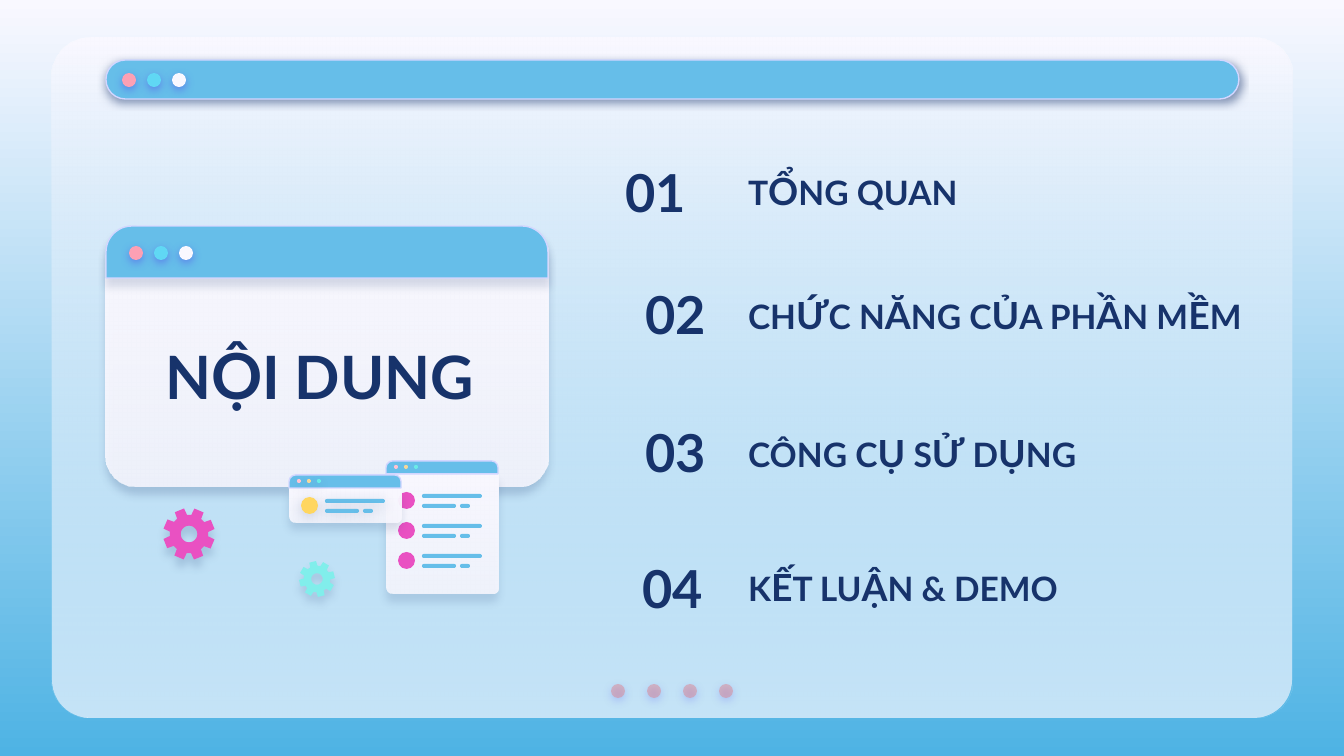
from math import cos, radians, sin

from lxml.etree import SubElement
from pptx import Presentation
from pptx.dml.color import RGBColor
from pptx.enum.shapes import MSO_SHAPE as Preset
from pptx.enum.text import MSO_ANCHOR as Anchor, PP_ALIGN as Align
from pptx.oxml.ns import qn
from pptx.util import Emu, Pt

EMU_PER_PX = 9144000 / 1344
FONT = "Lato"

NAVY = RGBColor(0x17, 0x33, 0x6B)
INDIGO = RGBColor(0x53, 0x52, 0xEE)
SKY = RGBColor(0x66, 0xBE, 0xE9)
DEEP_SKY = RGBColor(0x4E, 0xB3, 0xE4)
LILAC = RGBColor(0xD2, 0xD6, 0xFF)
SNOW = RGBColor(0xF9, 0xF8, 0xFF)
CORAL = RGBColor(0xE2, 0x7B, 0x83)
PINK = RGBColor(0xFD, 0xA0, 0xB4)
CYAN = RGBColor(0x60, 0xD8, 0xF4)
BLUSH = RGBColor(0xFF, 0xC3, 0xD0)
SAND = RGBColor(0xF5, 0xD7, 0x9B)
AQUA = RGBColor(0x6A, 0xEB, 0xE7)
MAGENTA = RGBColor(0xE9, 0x51, 0xC2)
YELLOW = RGBColor(0xFF, 0xD6, 0x5F)
MINT = RGBColor(0x81, 0xEE, 0xEB)

BUTTON_GLOW = (INDIGO, 50, 4.5, 1.5)
CARD_GLOW = (NAVY, 15, 4.5, 4.5)


def px(length):
    return Emu(round(length * EMU_PER_PX))


class SlideKit:
    def __init__(self, slide):
        self.slide = slide
        self.shapes = slide.shapes

    def gradient(self, fill, top, bottom):
        fill.gradient()
        fill.gradient_angle = 270
        for stop, color in zip(fill.gradient_stops, (top, bottom)):
            stop.color.rgb = color

    def style(self, shape, fill, opacity=100, line=None, shadow=None):
        properties = shape._element.spPr
        if isinstance(fill, RGBColor):
            shape.fill.solid()
            shape.fill.fore_color.rgb = fill
        else:
            self.gradient(shape.fill, *fill)
        if opacity < 100:
            last_color = list(properties.iter(qn("a:srgbClr")))[-1]
            SubElement(last_color, qn("a:alpha"), val=str(opacity * 1000))
        if line is None:
            shape.line.fill.background()
        else:
            shape.line.color.rgb = line
            shape.line.width = Pt(0.75)
        shape.shadow.inherit = False
        if shadow:
            color, strength, blur, distance = shadow
            outer = SubElement(
                properties.find(qn("a:effectLst")), qn("a:outerShdw"),
                blurRad=str(Pt(blur)), dist=str(Pt(distance)),
                dir="5400000", algn="bl", rotWithShape="0")
            tint = SubElement(outer, qn("a:srgbClr"), val=str(color))
            SubElement(tint, qn("a:alpha"), val=str(strength * 1000))

    def box(self, preset, left, top, width, height, fill, corners=(), **look):
        shape = self.shapes.add_shape(preset, px(left), px(top), px(width), px(height))
        for index, corner in enumerate(corners):
            shape.adjustments[index] = corner
        self.style(shape, fill, **look)

    def dots(self, left, top, size, step, colors, **look):
        for index, color in enumerate(colors):
            self.box(Preset.OVAL, left + index * step, top, size, size, color, **look)

    def text(self, left, top, width, height, pieces, size, align=Align.LEFT):
        frame = self.shapes.add_textbox(px(left), px(top), px(width), px(height)).text_frame
        frame.word_wrap = True
        frame.vertical_anchor = Anchor.MIDDLE
        frame.margin_left = frame.margin_right = px(13)
        frame.margin_top = frame.margin_bottom = px(13)
        paragraph = frame.paragraphs[0]
        paragraph.alignment = align
        for index, piece in enumerate(pieces.split("|")):
            run = paragraph.add_run()
            run.text = piece
            run.font.name = FONT
            run.font.size = Pt(size + 2 * (index % 2))
            run.font.bold = True
            run.font.color.rgb = NAVY

    def card(self, left, top, body_height, first_row, rows, bullet, dot_glow=None, row_glow=None):
        self.box(Preset.ROUND_2_SAME_RECTANGLE, left, top + 13, 112, body_height,
                 (SNOW, SNOW), (0, 7 / min(112, body_height)), opacity=87, shadow=CARD_GLOW)
        self.box(Preset.ROUND_2_SAME_RECTANGLE, left, top, 112, 13, SKY, (0.5, 0), line=LILAC)
        self.dots(left + 8, top + 4, 4, 10, (BLUSH, SAND, AQUA), shadow=dot_glow)
        for row in range(rows):
            row_top = top + first_row + 30 * row
            self.dots(left + 12, row_top, 17, 0, [bullet], shadow=row_glow)
            for indent, drop, width in ((36, 2, 60), (36, 12, 34), (74, 12, 10)):
                self.box(Preset.ROUNDED_RECTANGLE, left + indent, row_top + drop, width, 4,
                         SKY, (0.5,), shadow=row_glow)

    def gear(self, center_x, center_y, radius, tilt, color, shadow):
        def ring(polar):
            return [(px(center_x + radius * reach * sin(radians(angle))),
                     px(center_y - radius * reach * cos(radians(angle))))
                    for reach, angle in polar]

        tooth = ((0.74, -16), (1, -11), (1, 11), (0.74, 16))
        rim = ring((reach, tilt + 45 * turn + angle)
                   for turn in range(8) for reach, angle in tooth)
        hole = ring((0.32, -angle) for angle in range(0, 360, 15))
        outline = self.shapes.build_freeform(*rim[0])
        outline.add_line_segments(rim[1:], close=True)
        outline.move_to(*hole[0])
        outline.add_line_segments(hole[1:], close=True)
        self.style(outline.convert_to_shape(), color, shadow=shadow)


def main():
    deck = Presentation()
    deck.slide_width, deck.slide_height = px(1344), px(756)
    kit = SlideKit(deck.slides.add_slide(deck.slide_layouts[6]))
    kit.gradient(kit.slide.background.fill, SNOW, DEEP_SKY)

    for fill, opacity in ((SNOW, 100), ((SNOW, SKY), 35)):
        kit.box(Preset.ROUNDED_RECTANGLE, 52, 38, 1240, 680, fill, (0.056,), opacity=opacity)
    kit.dots(611, 684, 14, 36, [CORAL] * 4, opacity=44, shadow=BUTTON_GLOW)

    buttons = (PINK, CYAN, SNOW)
    kit.box(Preset.ROUNDED_RECTANGLE, 106, 60, 1133, 39, SKY, (0.5,),
            line=LILAC, shadow=(NAVY, 50, 4.5, 1.5))
    kit.dots(122, 73, 14, 25, buttons, shadow=BUTTON_GLOW)

    kit.box(Preset.ROUNDED_RECTANGLE, 106, 226, 442, 261, (SNOW, SNOW), (0.12,),
            opacity=87, shadow=(NAVY, 22, 4.5, 3.8))
    kit.box(Preset.ROUND_2_SAME_RECTANGLE, 106, 226, 442, 52, SKY, (0.5, 0),
            line=LILAC, shadow=(NAVY, 15, 4.5, 3.8))
    kit.dots(129, 246, 14, 25, buttons, shadow=BUTTON_GLOW)
    kit.text(152, 296, 417, 156, "N|Ộ|I DUNG", 32)

    agenda = (
        ("01", 574, 125, 128, "T|Ổ|NG QUAN", 164, 497),
        ("02", 574, 145, 250, "CH|Ứ|C N|Ă|NG C|Ủ|A PH|Ầ|N M|Ề|M", 288, 551),
        ("03", 574, 145, 388, "CÔNG C|Ụ| S|Ử| D|Ụ|NG", 426, 497),
        ("04", 571, 145, 524, "K|Ế|T LU|Ậ|N & DEMO", 560, 497),
    )
    for number, left, width, number_top, topic, topic_top, topic_width in agenda:
        kit.text(left, number_top, width, 127, number, 28, Align.RIGHT)
        kit.text(735, topic_top, topic_width, 54, topic, 18)

    kit.card(386, 461, 120, 31, 3, MAGENTA)
    kit.card(289, 475, 34, 22, 1, YELLOW, (NAVY, 17, 4.5, 2.2), (NAVY, 18, 6.8, 1.5))
    kit.gear(189, 534, 26, -22, MAGENTA, (NAVY, 16, 4.5, 4.5))
    kit.gear(317, 579, 18, -14, MINT, (NAVY, 15, 4.5, 3.8))

    deck.save("out.pptx")


if __name__ == "__main__":
    main()
